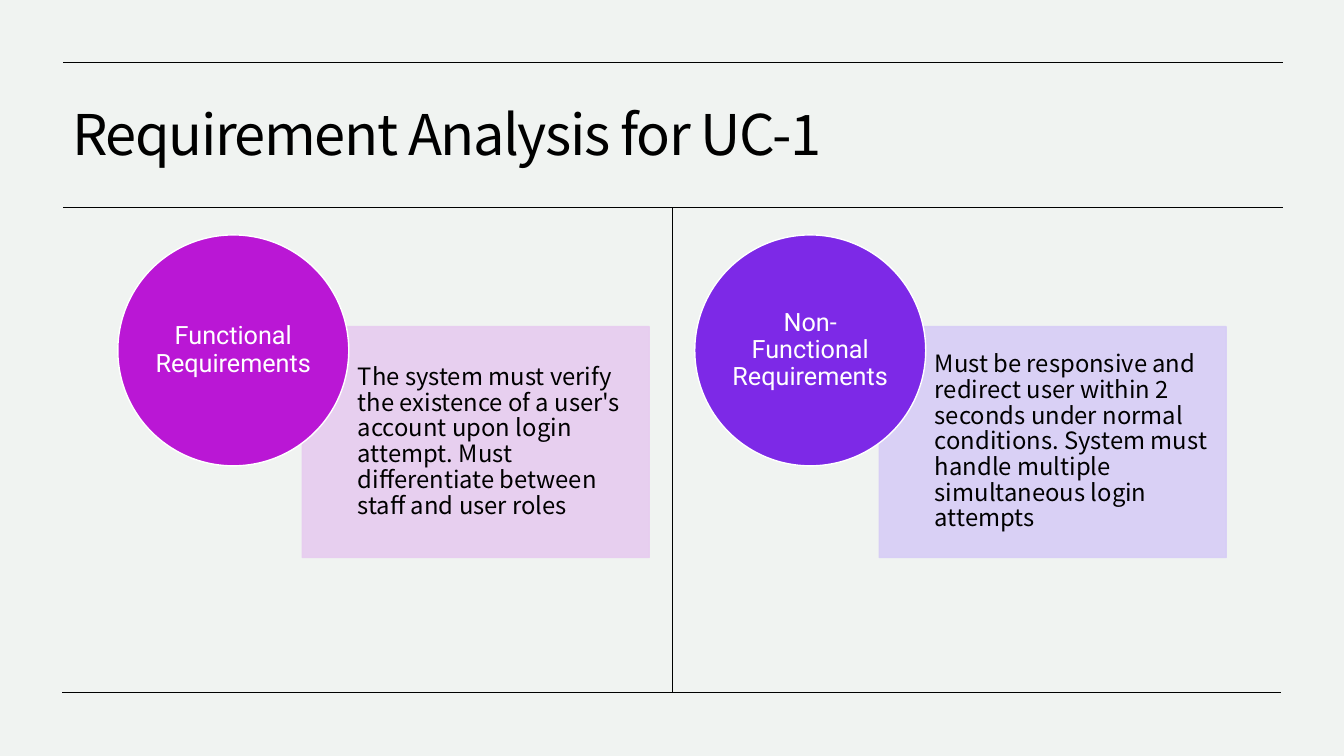
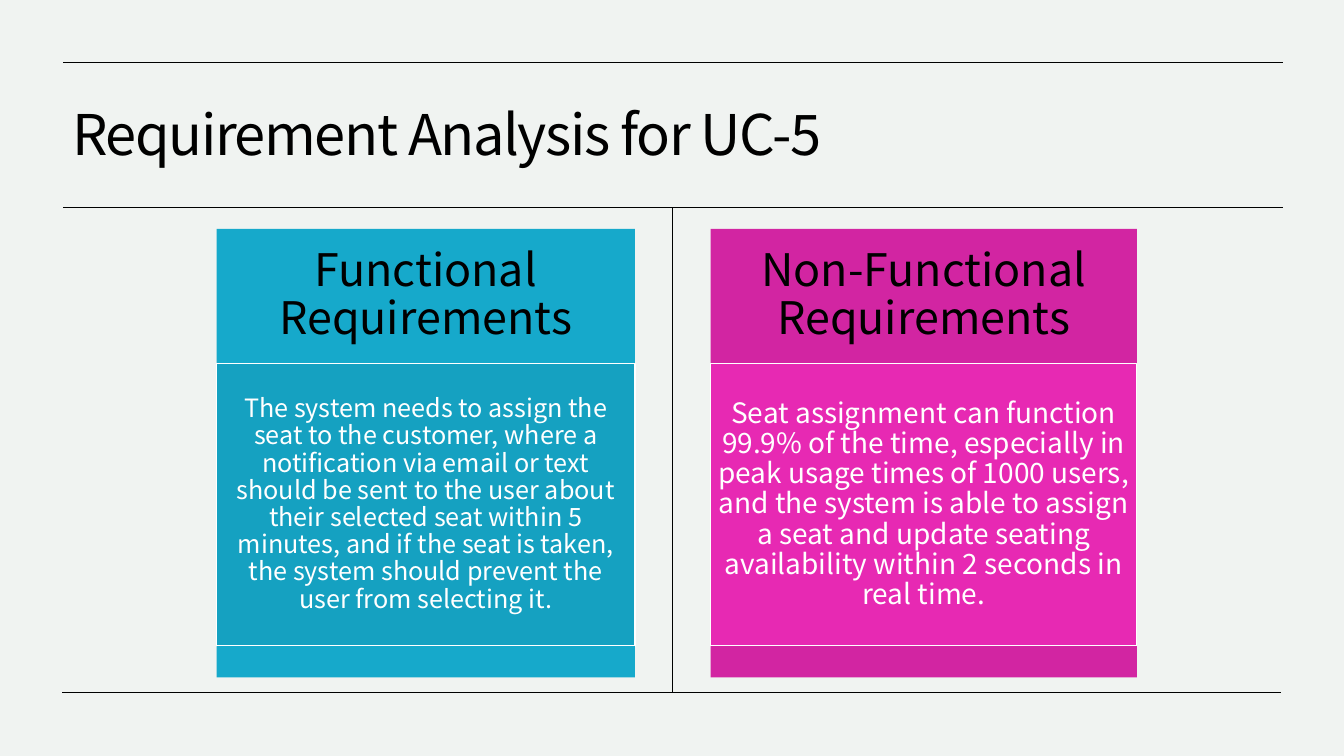
from lxml.etree import SubElement
from pptx import Presentation
from pptx.dml.color import RGBColor
from pptx.enum.shapes import MSO_CONNECTOR, MSO_SHAPE
from pptx.enum.text import MSO_ANCHOR, PP_ALIGN
from pptx.oxml.ns import qn
from pptx.util import Cm, Pt

COLORS = {
    "paper": "F0F3F1", "ink": "000000", "white": "FFFFFF",
    "orchid": "BA17D5", "orchid_pale": "E7CCEF",
    "violet": "7D29E7", "violet_pale": "D7CDF6",
    "cyan": "16A9CB", "cyan_deep": "15A1C1",
    "magenta": "D225A2", "magenta_bright": "E729B3",
}
TEXT_FONT, LABEL_FONT = "Noto Sans CJK KR", "Roboto"
TITLE_BOX = (1.57, 1.98, 30.68, 2.95)
RULES = [  # x1, y1, x2, y2
    (1.57, 17.45, 32.28, 17.45),
    (1.6, 5.23, 32.33, 5.23),
    (1.6, 1.58, 32.33, 1.58),
    (16.94, 5.23, 16.94, 17.45),
]


def color(name):
    return RGBColor.from_string(COLORS[name])


def write(shape, text, size, ink="ink", font=TEXT_FONT,
          align=PP_ALIGN.CENTER, insets=(0, 0, 0, 0)):
    frame, paragraph = shape.text_frame, shape.text_frame.paragraphs[0]
    run = paragraph.add_run()
    left, top, right, bottom = map(Cm, insets)
    formats = [
        (frame, {"word_wrap": True, "vertical_anchor": MSO_ANCHOR.MIDDLE,
                 "margin_left": left, "margin_top": top,
                 "margin_right": right, "margin_bottom": bottom}),
        (paragraph, {"alignment": align, "line_spacing": 0.9}),
        (run, {"text": text}),
        (run.font, {"size": Pt(size), "name": font}),
        (run.font.color, {"rgb": color(ink)}),
    ]
    for target, values in formats:
        for attribute, value in values.items():
            setattr(target, attribute, value)
    return run


def block(slide, kind, box, fill, line=None, opacity=None):
    shape = slide.shapes.add_shape(kind, *map(Cm, box))
    shape.shadow.inherit = False
    shape.fill.solid()
    shape.fill.fore_color.rgb = color(fill)
    if line:
        shape.line.color.rgb = color(line)
        shape.line.width = Pt(1)
    else:
        shape.line.fill.background()
    if opacity:
        for tint in shape.element.spPr.iter(qn("a:srgbClr")):
            SubElement(tint, qn("a:alpha")).set("val", str(opacity * 1000))
    return shape


def framed_slide(deck, title):
    """Background, rules and title common to every slide."""
    slide = deck.slides.add_slide(deck.slide_layouts[6])
    slide.background.fill.solid()
    slide.background.fill.fore_color.rgb = color("paper")
    for ends in RULES:
        rule = slide.shapes.add_connector(MSO_CONNECTOR.STRAIGHT, *map(Cm, ends))
        rule.line.color.rgb = color("ink")
        rule.line.width = Pt(0.5)
        SubElement(rule.element.spPr, qn("a:effectLst"))
    heading = slide.shapes.add_textbox(*map(Cm, TITLE_BOX))
    run = write(heading, title, 40, align=PP_ALIGN.LEFT,
                insets=(0.25, 0.13, 0.25, 0.13))
    run.font._element.set("spc", "-100")
    return slide


def circle_card(slide, left, top, label, detail, strong, pale):
    """Pale panel with a labelled circle over its upper left corner."""
    size = 5.82
    panel = block(slide, MSO_SHAPE.RECTANGLE,
                  (left + 4.65, top + 2.31, 8.74, size), pale, pale, 90)
    write(panel, detail, 17, align=PP_ALIGN.LEFT,
          insets=(1.4, 0.33, 0.33, 0.33))
    circle = block(slide, MSO_SHAPE.OVAL, (left, top, size, size),
                   strong, "white")
    write(circle, label, 18, "white", LABEL_FONT)


def column_card(slide, left, top, width, label, detail, size, edge, middle):
    """Header, body and foot stacked in one column."""
    header_height, body_height, foot_height = 3.39, 7.12, 0.79
    body_top = top + header_height
    header = block(slide, MSO_SHAPE.RECTANGLE,
                   (left, top, width, header_height), edge)
    write(header, label, 32, insets=(0.33,) * 4)
    body = block(slide, MSO_SHAPE.RECTANGLE,
                 (left, body_top, width, body_height), middle, "white")
    write(body, detail, size, "white", insets=(0.19,) * 4)
    block(slide, MSO_SHAPE.RECTANGLE,
          (left, body_top + body_height, width, foot_height), edge)


def main():
    deck = Presentation()
    deck.slide_width, deck.slide_height = Cm(33.87), Cm(19.05)

    # Login requirements
    login = framed_slide(deck, "Requirement Analysis for UC-1")
    for card in [
        (2.97, 5.92, "Functional Requirements",
         "The system must verify the existence of a user's account upon login "
         "attempt. Must differentiate between staff and user roles",
         "orchid", "orchid_pale"),
        (17.51, 5.92, "Non-Functional Requirements",
         "Must be responsive and redirect user within 2 seconds under normal "
         "conditions. System must handle multiple simultaneous login attempts",
         "violet", "violet_pale"),
    ]:
        circle_card(login, *card)

    # Seat assignment requirements
    seating = framed_slide(deck, "Requirement Analysis for UC-5")
    for card in [
        (5.46, 5.77, 10.54, "Functional Requirements",
         "The system needs to assign the seat to the customer, where a "
         "notification via email or text should be sent to the user about "
         "their selected seat within 5 minutes, and if the seat is taken, the "
         "system should prevent the user from selecting it.",
         18, "cyan", "cyan_deep"),
        (17.91, 5.77, 10.74, "Non-Functional Requirements",
         "Seat assignment can function 99.9% of the time, especially in peak "
         "usage times of 1000 users, and the system is able to assign a seat "
         "and update seating availability within 2 seconds in real time.",
         20, "magenta", "magenta_bright"),
    ]:
        column_card(seating, *card)

    deck.save("out.pptx")


if __name__ == "__main__":
    main()
